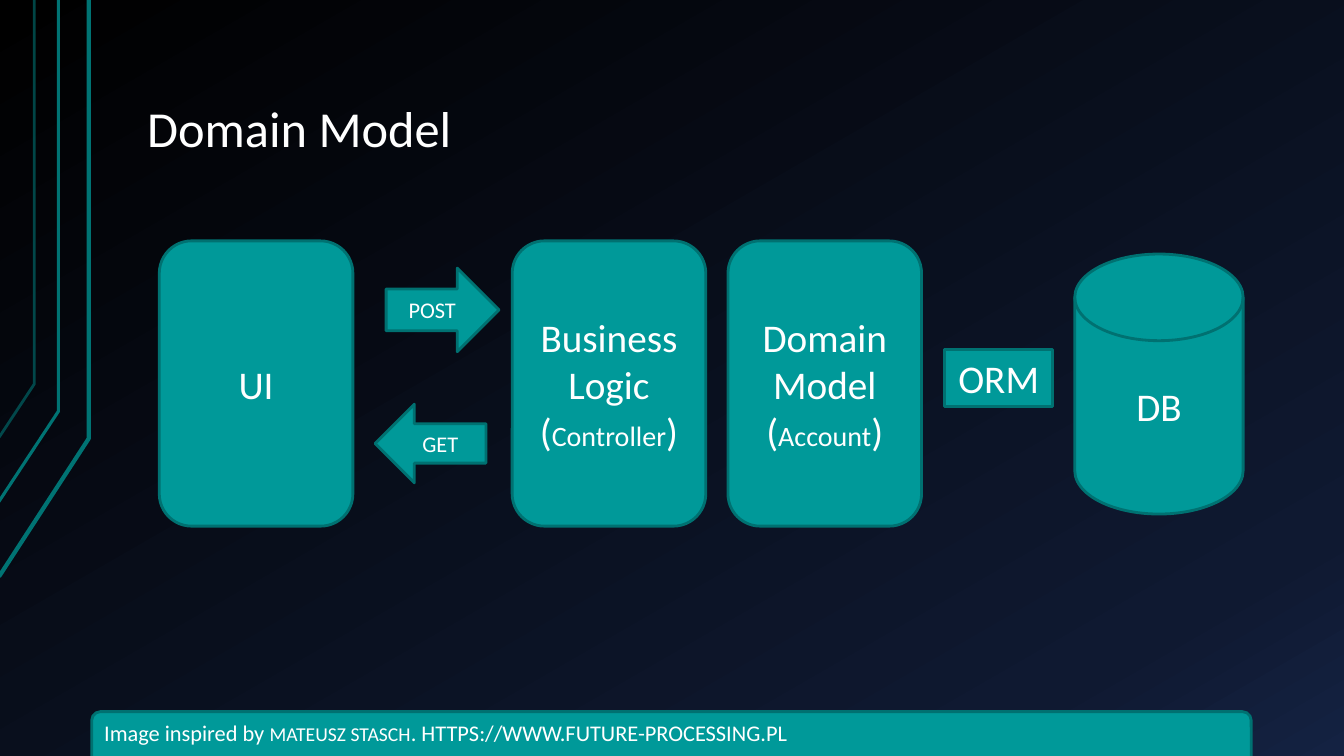
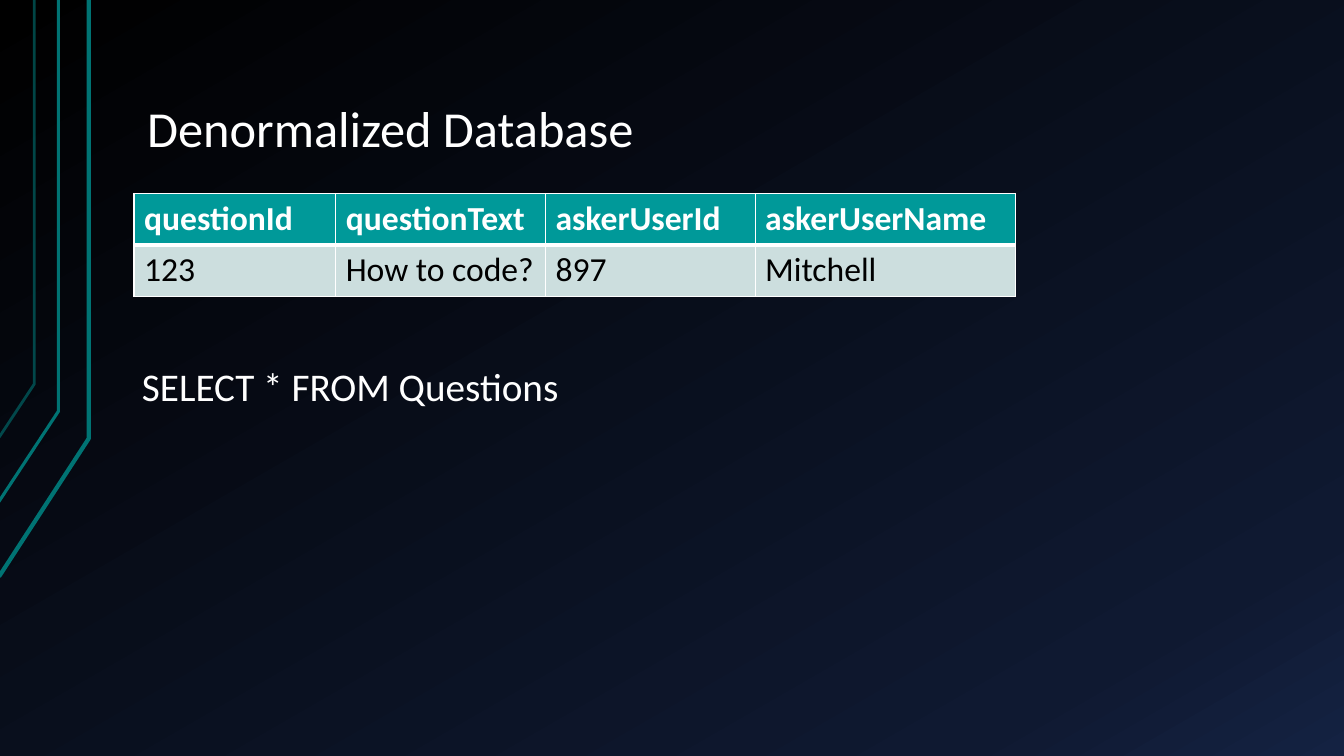
"""Build two slides on a domain model and a denormalized database."""
from copy import deepcopy
from dataclasses import dataclass

from lxml.etree import SubElement
from pptx import Presentation
from pptx.dml.color import RGBColor
from pptx.enum.shapes import MSO_SHAPE
from pptx.enum.text import MSO_ANCHOR, PP_ALIGN
from pptx.oxml.ns import qn
from pptx.util import Emu, Pt

PX = 9144


@dataclass(frozen=True)
class Theme:
    font: str = "Calibri"
    text: str = "FFFFFF"
    dark_text: str = "000000"
    fill: str = "009999"
    outline: str = "007171"
    rail: str = "007373"
    body_row: str = "CCDEDE"
    border: str = "FFFFFF"
    backdrop: tuple = ((0, "000000"), (0.85, "0F1931"), (1, "142242"))
    backdrop_angle: int = 300
    title_size: int = 36
    label_size: int = 28
    table_size: int = 24
    detail_size: int = 20
    small_size: int = 16
    name_size: int = 14
    outline_width: int = 2
    thin_border: int = 1
    thick_border: int = 3


THEME = Theme()
SLIDE_SIZE = (1333, 750)
TITLE_BOX = (133, 30, 1133, 134)

RAILS = [
    ([(-1, 572), (88, 435), (88, 0)], 3, 100),
    ([(-2, 499), (58, 408), (58, 0)], 2.25, 100),
    ([(-1, 434), (34, 381), (34, 0)], 2, 60),
]

CARD_TOP, CARD_WIDTH, CARD_HEIGHT = 239, 192, 283
CARDS = [
    (158, ["UI"]),
    (508, ["Business Logic (", ("Controller", THEME.detail_size), ")"]),
    (722, ["Domain Model (", ("Account", THEME.detail_size), ")"]),
]
NODES = [
    (MSO_SHAPE.FLOWCHART_MAGNETIC_DISK, (1066, 252, 167, 258), "DB", THEME.label_size),
    (MSO_SHAPE.RECTANGLE, (937, 347, 107, 56), "ORM", THEME.label_size),
    (MSO_SHAPE.RIGHT_ARROW, (383, 266, 112, 83), "POST", THEME.small_size),
    (MSO_SHAPE.LEFT_ARROW, (372, 401, 110, 78), "GET", THEME.small_size),
]
CREDIT_BOX = (91, 706, 1150, 52)
CREDIT = [
    "Image inspired by ",
    ("MATEUSZ STASCH", THEME.name_size),
    ". HTTPS://WWW.FUTURE-PROCESSING.PL",
]

TABLE_ORIGIN = (133, 192)
COLUMN_WIDTHS = [200, 208, 208, 258]
ROW_HEIGHT = 51
ROWS = [
    ["questionId", "questionText", "askerUserId", "askerUserName"],
    ["123", "How to code?", "897", "Mitchell"],
]
QUERY_BOX = (131, 355, 564, 104)
QUERY = "SELECT * FROM Questions"


def scaled(lengths):
    return [Emu(length * PX) for length in lengths]


def rgb(code):
    return RGBColor.from_string(code)


def write(frame, text, *, size, color=THEME.text, bold=False, align=PP_ALIGN.LEFT,
          anchor=MSO_ANCHOR.TOP, spacing=None):
    """Fill a frame with a string, or with spans that may carry their own size."""
    frame.word_wrap = True
    frame.vertical_anchor = anchor
    para = frame.paragraphs[0]
    para.alignment = align
    para.line_spacing = spacing
    for part in [text] if isinstance(text, str) else text:
        words, points = (part, size) if isinstance(part, str) else part
        span = para.add_run()
        span.text = words
        span.font.name = THEME.font
        span.font.size = Pt(points)
        span.font.bold = bold
        span.font.color.rgb = rgb(color)


def set_outline(shape, color, width):
    shape.shadow.inherit = False
    shape.line.color.rgb = rgb(color)
    shape.line.width = Pt(width)


def add_node(page, kind, place, text, *, size=THEME.label_size,
             align=PP_ALIGN.CENTER, anchor=MSO_ANCHOR.MIDDLE):
    node = page.shapes.add_shape(kind, *scaled(place))
    node.fill.solid()
    node.fill.fore_color.rgb = rgb(THEME.fill)
    set_outline(node, THEME.outline, THEME.outline_width)
    write(node.text_frame, text, size=size, align=align, anchor=anchor)


def add_rail(page, points, width, opacity):
    builder = page.shapes.build_freeform(*points[0], scale=PX)
    builder.add_line_segments(points[1:], close=False)
    rail = builder.convert_to_shape()
    rail.fill.background()
    set_outline(rail, THEME.rail, width)
    if opacity < 100:
        color = rail.element.spPr.find(".//" + qn("a:srgbClr"))
        SubElement(color, qn("a:alpha"), val=str(opacity * 1000))


def set_backdrop(master):
    fill = master.background.fill
    fill.gradient()
    fill.gradient_angle = THEME.backdrop_angle
    stop_list = master.element.find(".//" + qn("a:gsLst"))
    while len(stop_list) < len(THEME.backdrop):
        stop_list.append(deepcopy(stop_list[-1]))
    for stop, (position, color) in zip(fill.gradient_stops, THEME.backdrop):
        stop.position = position
        stop.color.rgb = rgb(color)


def add_page(deck, title):
    page = deck.slides.add_slide(deck.slide_layouts[6])
    for rail in RAILS:
        add_rail(page, *rail)
    frame = page.shapes.add_textbox(*scaled(TITLE_BOX)).text_frame
    frame.margin_left = frame.margin_right = Emu(13 * PX)
    frame.margin_top = frame.margin_bottom = Emu(7 * PX)
    write(frame, title, size=THEME.title_size, anchor=MSO_ANCHOR.BOTTOM, spacing=0.9)
    return page


def set_borders(cell, **widths):
    properties = cell._tc.get_or_add_tcPr()
    for side in "LRTB":
        width = widths.get(side, THEME.thin_border)
        line = SubElement(properties, qn(f"a:ln{side}"), w=str(Pt(width)))
        fill = SubElement(line, qn("a:solidFill"))
        SubElement(fill, qn("a:srgbClr"), val=THEME.border)


def add_question_table(page):
    size = (sum(COLUMN_WIDTHS), ROW_HEIGHT * len(ROWS))
    table = page.shapes.add_table(
        len(ROWS), len(COLUMN_WIDTHS), *scaled(TABLE_ORIGIN + size)).table
    for column, width in zip(table.columns, scaled(COLUMN_WIDTHS)):
        column.width = width
    for row_index, row in enumerate(ROWS):
        header = row_index == 0
        for column_index, text in enumerate(row):
            cell = table.cell(row_index, column_index)
            set_borders(cell, **{"B" if header else "T": THEME.thick_border})
            cell.fill.solid()
            cell.fill.fore_color.rgb = rgb(THEME.fill if header else THEME.body_row)
            write(cell.text_frame, text, size=THEME.table_size, bold=header,
                  color=THEME.text if header else THEME.dark_text)


def build_domain_model(deck):
    page = add_page(deck, "Domain Model")
    for left, text in CARDS:
        place = (left, CARD_TOP, CARD_WIDTH, CARD_HEIGHT)
        add_node(page, MSO_SHAPE.ROUNDED_RECTANGLE, place, text)
    for kind, place, text, size in NODES:
        add_node(page, kind, place, text, size=size)
    add_node(page, MSO_SHAPE.ROUND_2_SAME_RECTANGLE, CREDIT_BOX, CREDIT,
             size=THEME.small_size, align=PP_ALIGN.LEFT, anchor=MSO_ANCHOR.TOP)


def build_database(deck):
    page = add_page(deck, "Denormalized Database")
    add_question_table(page)
    box = page.shapes.add_textbox(*scaled(QUERY_BOX))
    write(box.text_frame, QUERY, size=THEME.label_size)


def main():
    deck = Presentation()
    deck.slide_width, deck.slide_height = scaled(SLIDE_SIZE)
    set_backdrop(deck.slide_master)
    build_domain_model(deck)
    build_database(deck)
    deck.save("out.pptx")


if __name__ == "__main__":
    main()
